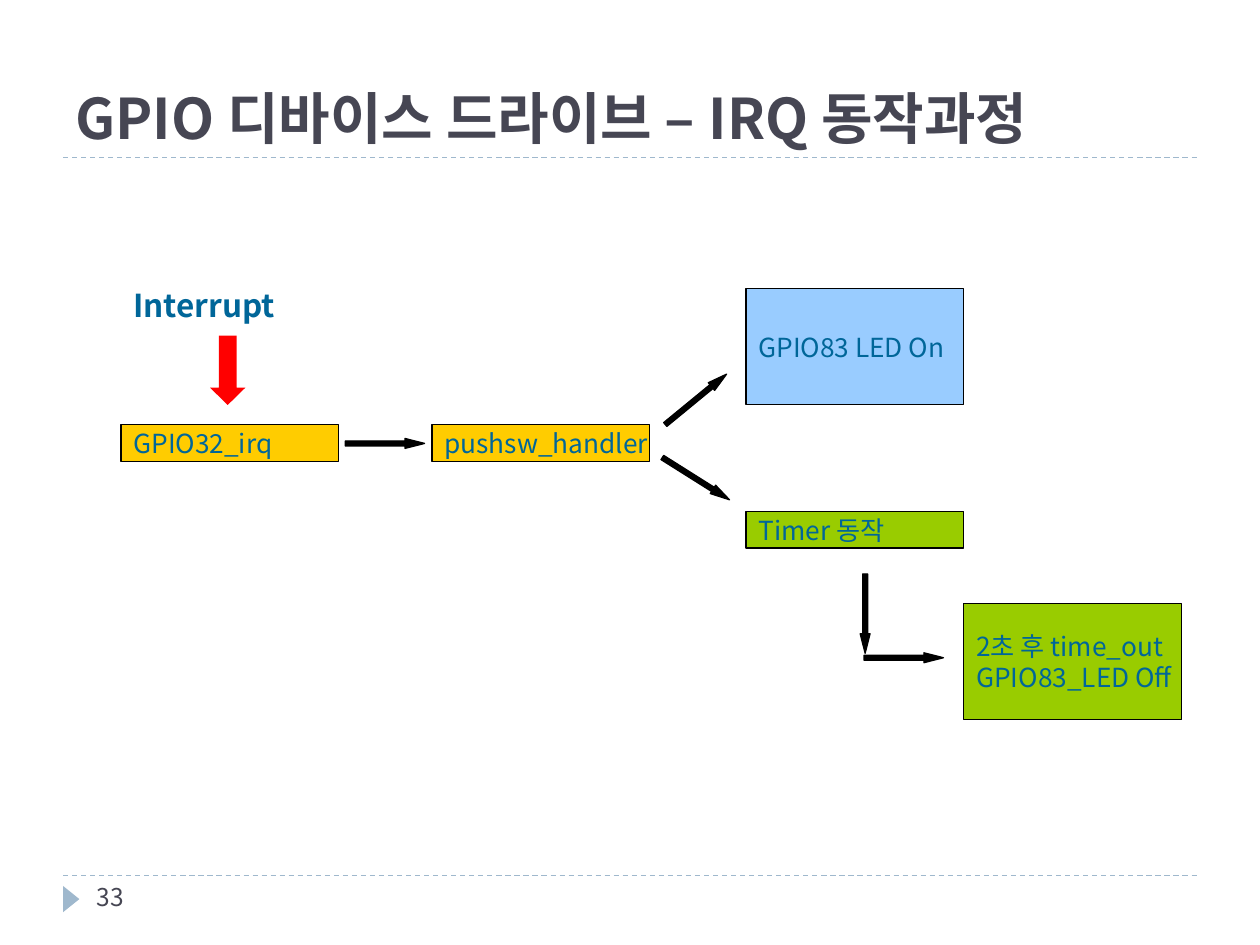
from dataclasses import dataclass

from lxml.etree import SubElement
from pptx import Presentation
from pptx.dml.color import RGBColor
from pptx.enum.dml import MSO_LINE_DASH_STYLE as Dash
from pptx.enum.shapes import MSO_CONNECTOR as Link, MSO_SHAPE as Kind
from pptx.enum.text import MSO_ANCHOR as Anchor
from pptx.oxml.ns import qn
from pptx.util import Cm, Pt

FONT = "Noto Sans CJK KR"
BLACK, TEAL, DARK, PALE = "000000", "006699", "464653", "9FB8CD"
BOX_W, LOW, TALL = 4.39, 0.74, 2.34


@dataclass
class Box:
    left: float
    top: float
    high: float
    fill: str
    text: str


@dataclass
class Arrow:
    left: float
    top: float
    turn: float = 0
    wide: float = 1.6
    high: float = 0.2
    head: float = 1.97
    fill: str = BLACK
    edge: str | None = BLACK


BOXES = [
    Box(2.44, 8.56, LOW, "FFCC00", "GPIO32_irq"),
    Box(8.71, 8.56, LOW, "FFCC00", "pushsw_handler"),
    Box(15.04, 10.31, LOW, "99CC00", "Timer 동작"),
    Box(19.43, 12.17, TALL, "99CC00", "2초 후 time_out\nGPIO83_LED Off"),
    Box(15.04, 5.82, TALL, "99CCFF", "GPIO83 LED On"),
]
ARROWS = [
    Arrow(3.89, 7.11, 90, 1.4, 0.71, 0.49, "FF0000", None),
    Arrow(17.42, 13.16),
    Arrow(6.96, 8.84),
    Arrow(13.23, 7.95, 320.6),
    Arrow(13.23, 9.55, 32.2),
    Arrow(16.64, 12.27, 90),
]


def color(code: str) -> RGBColor:
    return RGBColor.from_string(code)


def write(shape, text: str, size: float, ink: str, bold: bool = False,
          anchor=Anchor.MIDDLE) -> None:
    frame = shape.text_frame
    form = {"word_wrap": True, "vertical_anchor": anchor, "margin_right": 0,
            "margin_left": Cm(0.25), "margin_top": Cm(0.13),
            "margin_bottom": Cm(0.13)}
    for name, value in form.items():
        setattr(frame, name, value)
    frame.text = text
    for para in frame.paragraphs:
        para.alignment = 1
        for run in para.runs:
            look = {"size": Pt(size), "bold": bold, "name": FONT}
            for name, value in look.items():
                setattr(run.font, name, value)
            run.font.color.rgb = color(ink)
            east = SubElement(run.font._element, qn("a:ea"))
            east.set("typeface", FONT)


def label(slide, left: float, top: float, wide: float, high: float,
          text: str, size: float, ink: str, **more) -> None:
    area = slide.shapes.add_textbox(Cm(left), Cm(top), Cm(wide), Cm(high))
    write(area, text, size, ink, **more)


def solid(slide, kind, left: float, top: float, wide: float, high: float,
          fill: str, edge: str | None = None, turn: float = 0):
    """Add a filled preset shape, outlined only if an edge colour is given."""
    shape = slide.shapes.add_shape(kind, Cm(left), Cm(top), Cm(wide), Cm(high))
    shape.shadow.inherit = False
    shape.rotation = turn
    shape.fill.solid()
    shape.fill.fore_color.rgb = color(fill)
    if edge:
        shape.line.color.rgb = color(edge)
        shape.line.width = Pt(0.75)
    else:
        shape.line.fill.background()
    return shape


def rule(slide, top: float) -> None:
    line = slide.shapes.add_connector(
        Link.STRAIGHT, Cm(1.27), Cm(top), Cm(24.13), Cm(top))
    line.line.color.rgb = color(PALE)
    line.line.width = Pt(0.75)
    line.line.dash_style = Dash.DASH
    SubElement(line._element.spPr, qn("a:effectLst"))


def draw_box(slide, box: Box) -> None:
    shape = solid(slide, Kind.RECTANGLE, box.left, box.top, BOX_W, box.high,
                  box.fill, BLACK)
    write(shape, box.text, 15, TEAL)


def draw_arrow(slide, arrow: Arrow) -> None:
    shape = solid(slide, Kind.RIGHT_ARROW, arrow.left, arrow.top, arrow.wide,
                  arrow.high, arrow.fill, arrow.edge, arrow.turn)
    shape.adjustments[0] = 0.5
    shape.adjustments[1] = arrow.head


def main() -> None:
    deck = Presentation()
    deck.slide_width, deck.slide_height = Cm(25.4), Cm(19.05)
    slide = deck.slides.add_slide(deck.slide_layouts[6])
    for top in (17.65, 3.18):
        rule(slide, top)
    solid(slide, Kind.ISOSCELES_TRIANGLE, 1.17, 17.96, 0.53, 0.33, PALE, turn=90)
    label(slide, 1.27, 0.43, 22.86, 2.74, "GPIO 디바이스 드라이브 – IRQ 동작과정",
          32, DARK, bold=True, anchor=Anchor.BOTTOM)
    label(slide, 1.7, 17.65, 5.51, 1.02, "33", 14, DARK, anchor=Anchor.TOP)
    for box in BOXES:
        draw_box(slide, box)
    label(slide, 2.44, 5.77, BOX_W, LOW, "Interrupt", 18, TEAL, bold=True)
    for arrow in ARROWS:
        draw_arrow(slide, arrow)
    deck.save("out.pptx")


if __name__ == "__main__":
    main()
